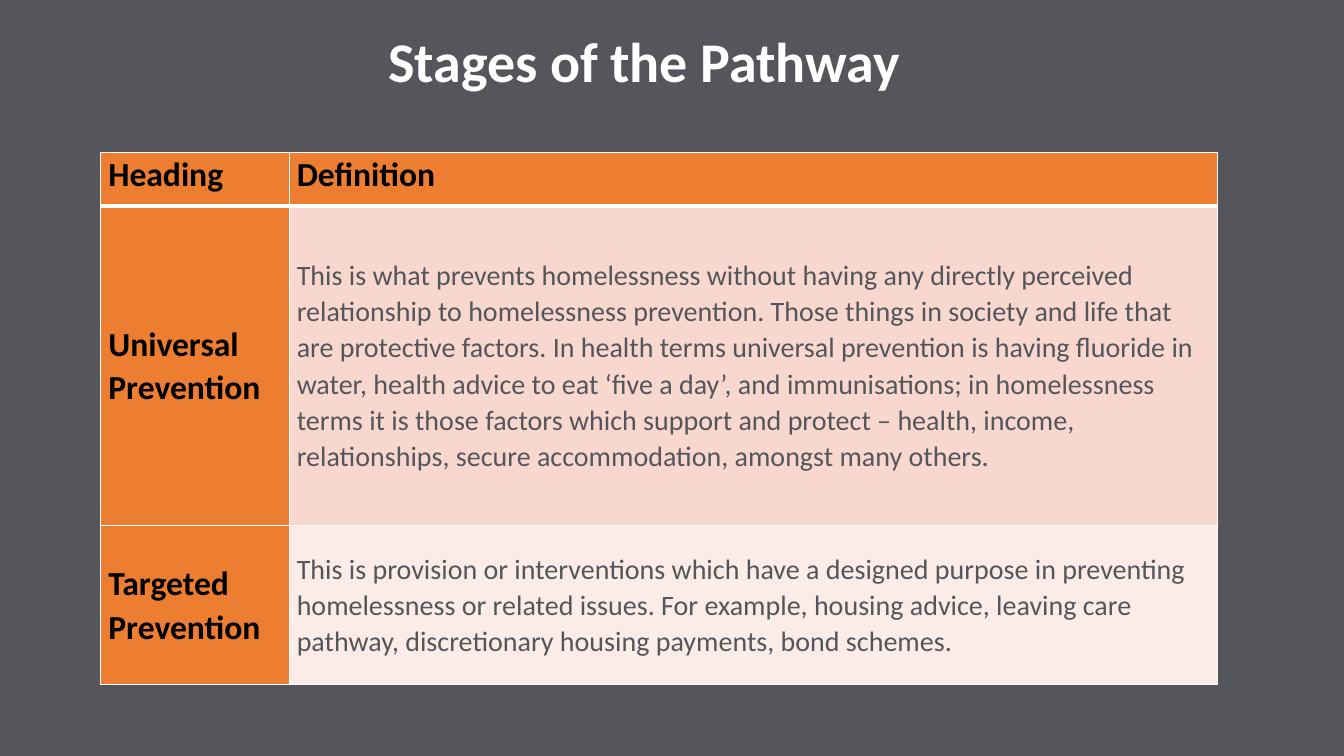
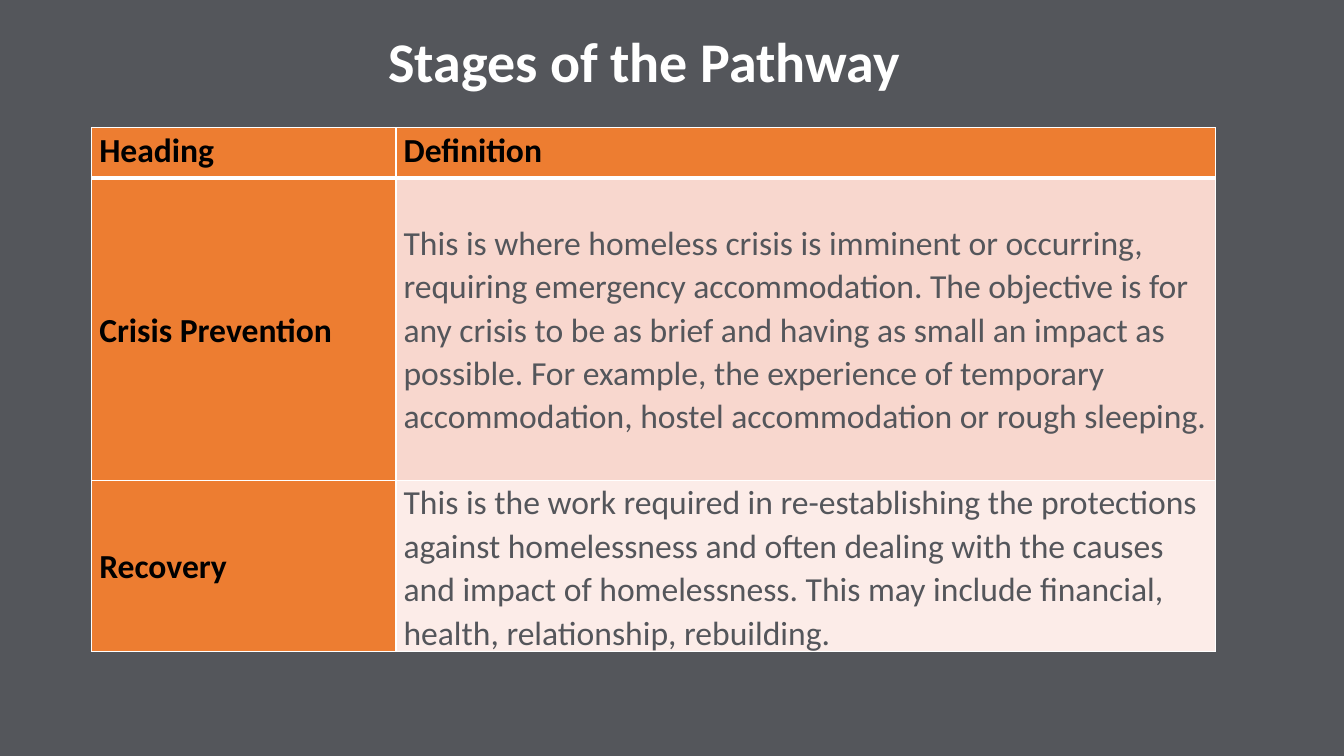
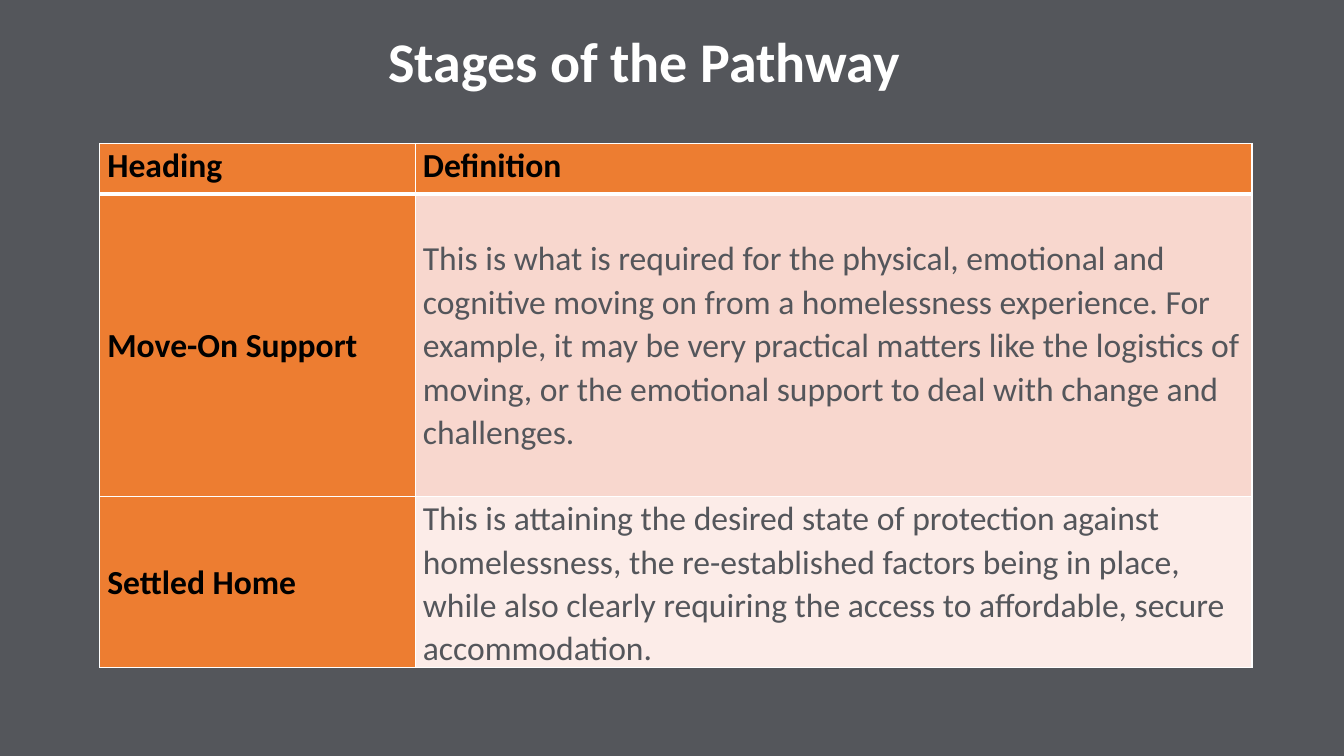
from pptx import Presentation
from pptx.dml.color import RGBColor
from pptx.enum.text import MSO_ANCHOR as Anchor, PP_ALIGN as Align
from pptx.oxml.ns import qn
from pptx.util import Pt
from lxml.etree import SubElement

# Shared look
SLATE = RGBColor(0x54, 0x56, 0x5B)
ORANGE = RGBColor(0xED, 0x7D, 0x31)
PINK = RGBColor(0xF8, 0xD7, 0xCE)
PALE_PINK = RGBColor(0xFC, 0xEC, 0xE8)
WHITE = RGBColor(0xFF, 0xFF, 0xFF)
BLACK = RGBColor(0x00, 0x00, 0x00)
FONT = "Calibri"
TITLE = "Stages of the Pathway"
COLUMN_TITLES = ("Heading", "Definition")
HEADING_SIZE = 24
THIN, THICK = 1, 3

# One entry per slide; all lengths in points
SLIDES = [
    {
        "corner": (72, 108.7),
        "columns": (134.6, 663.2),
        "rows": (38.2, 228.2, 113.8),
        "size": 20,
        "stages": [
            ("Universal Prevention",
             "This is what prevents homelessness without having any directly "
             "perceived relationship to homelessness prevention. Those things "
             "in society and life that are protective factors. In health terms "
             "universal prevention is having fluoride in water, health advice "
             "to eat ‘five a day’, and immunisations; in homelessness terms it "
             "is those factors which support and protect – health, income, "
             "relationships, secure accommodation, amongst many others."),
            ("Targeted Prevention",
             "This is provision or interventions which have a designed purpose "
             "in preventing homelessness or related issues. For example, "
             "housing advice, leaving care pathway, discretionary housing "
             "payments, bond schemes."),
        ],
    },
    {
        "corner": (65.5, 91.3),
        "columns": (217.4, 585.4),
        "rows": (36, 216, 108),
        "size": 24,
        "stages": [
            ("Crisis Prevention",
             "This is where homeless crisis is imminent or occurring, requiring "
             "emergency accommodation. The objective is for any crisis to be as "
             "brief and having as small an impact as possible. For example, the "
             "experience of temporary accommodation, hostel accommodation or "
             "rough sleeping."),
            ("Recovery",
             "This is the work required in re-establishing the protections "
             "against homelessness and often dealing with the causes and impact "
             "of homelessness. This may include financial, health, "
             "relationship, rebuilding."),
        ],
    },
    {
        "corner": (71.3, 102.5),
        "columns": (225.4, 597.6),
        "rows": (36, 216, 108),
        "size": 24,
        "stages": [
            ("Move-On Support",
             "This is what is required for the physical, emotional and "
             "cognitive moving on from a homelessness experience. For example, "
             "it may be very practical matters like the logistics of moving, or "
             "the emotional support to deal with change and challenges."),
            ("Settled Home",
             "This is attaining the desired state of protection against "
             "homelessness, the re-established factors being in place, while "
             "also clearly requiring the access to affordable, secure "
             "accommodation."),
        ],
    },
]


def write(paragraph, text, size, color, bold, spacing):
    paragraph.line_spacing = spacing
    run = paragraph.add_run()
    run.text = text
    run.font.name = FONT
    run.font.size = Pt(size)
    run.font.bold = bold
    run.font.color.rgb = color


def add_title(slide):
    frame = slide.shapes.add_textbox(Pt(111), Pt(5), Pt(698), Pt(66)).text_frame
    frame.word_wrap = True
    frame.vertical_anchor = Anchor.BOTTOM
    heading = frame.paragraphs[0]
    heading.alignment = Align.CENTER
    write(heading, TITLE, 40, WHITE, True, 0.9)


def add_borders(cell, top, bottom):
    """White rules on all four sides; must come before the fill."""
    properties = cell._tc.get_or_add_tcPr()
    for side, width in (("L", THIN), ("R", THIN), ("T", top), ("B", bottom)):
        line = SubElement(properties, qn(f"a:ln{side}"), w=str(Pt(width)))
        fill = SubElement(line, qn("a:solidFill"))
        SubElement(fill, qn("a:srgbClr"), val=str(WHITE))


def fill_cell(cell, text, row, is_definition, size):
    is_header = row == 0
    add_borders(cell, top=THICK if row == 1 else THIN,
                bottom=THICK if is_header else THIN)
    cell.margin_left = cell.margin_right = Pt(5.4)
    cell.margin_top = cell.margin_bottom = Pt(0)
    cell.vertical_anchor = Anchor.TOP if is_header else Anchor.MIDDLE
    cell.fill.solid()
    paragraph = cell.text_frame.paragraphs[0]
    if is_definition and not is_header:
        cell.fill.fore_color.rgb = PINK if row % 2 else PALE_PINK
        write(paragraph, text, size, SLATE, False, 1.06)
    else:
        cell.fill.fore_color.rgb = ORANGE
        write(paragraph, text, HEADING_SIZE, BLACK, True, 1.06)


def add_stage_table(slide, corner, columns, rows, size, stages):
    left, top = corner
    table = slide.shapes.add_table(
        len(rows), len(columns), Pt(left), Pt(top),
        Pt(sum(columns)), Pt(sum(rows))).table
    for column, width in zip(table.columns, columns):
        column.width = Pt(width)
    for row, height in zip(table.rows, rows):
        row.height = Pt(height)
    for r, texts in enumerate([COLUMN_TITLES, *stages]):
        for c, text in enumerate(texts):
            fill_cell(table.cell(r, c), text, r, c == 1, size)


def main():
    deck = Presentation()
    deck.slide_width, deck.slide_height = Pt(960), Pt(540)
    blank = deck.slide_layouts[6]

    # Background shared by every slide
    background = deck.slide_master.background.fill
    background.solid()
    background.fore_color.rgb = SLATE

    for content in SLIDES:
        slide = deck.slides.add_slide(blank)
        add_title(slide)
        add_stage_table(slide, **content)
    deck.save("out.pptx")


if __name__ == "__main__":
    main()
